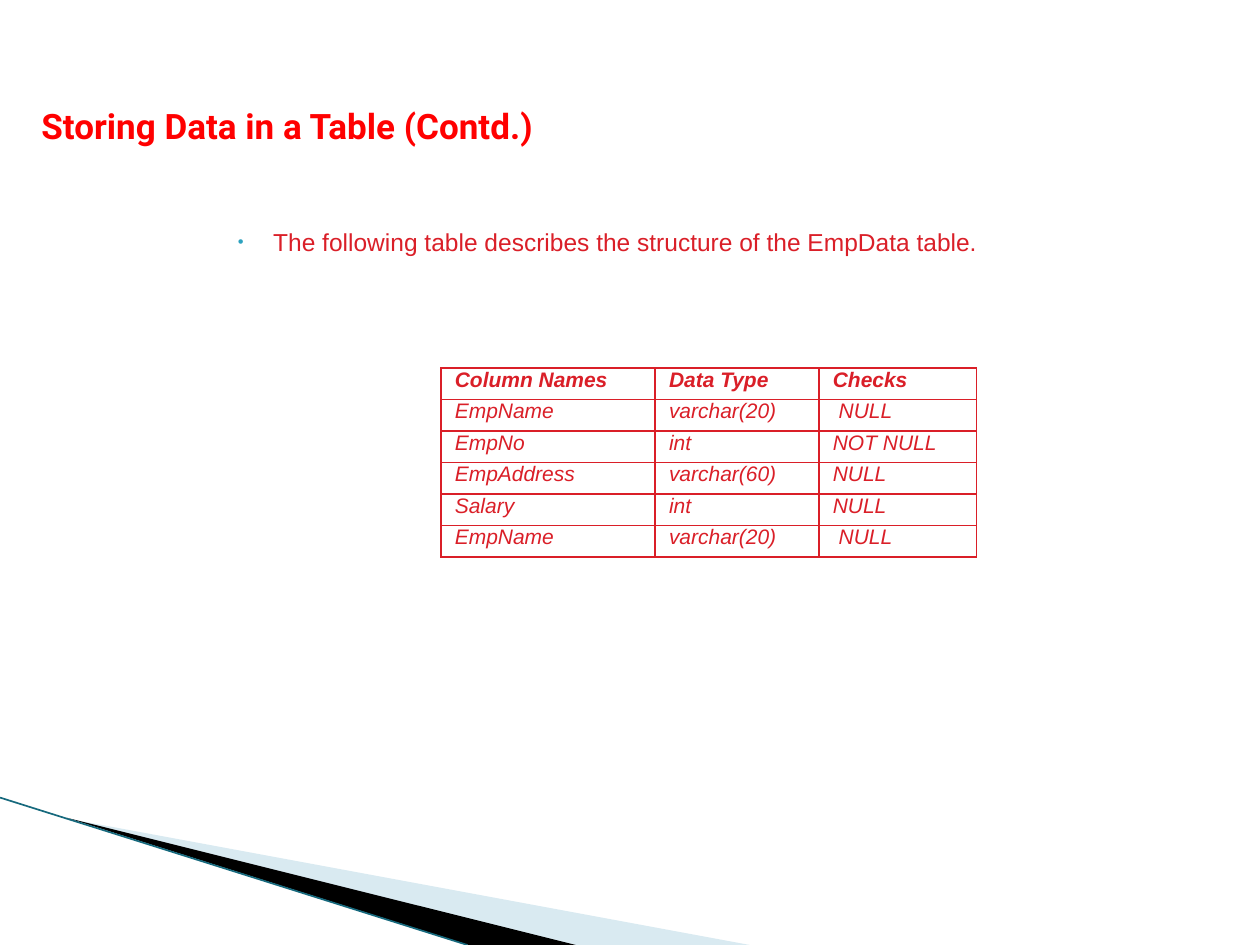
"""Build the slide that describes the structure of the EmpData table."""
import pptx
import pptx.dml.color
import pptx.enum.shapes
import pptx.enum.text
import pptx.oxml
import pptx.oxml.ns
import pptx.util

TITLE = "Storing Data in a Table (Contd.)"
INTRO = "The following table describes the structure of the EmpData table."
STRUCTURE = [
    ("Column Names", "Data Type", "Checks"),
    ("EmpName", "varchar(20)", " NULL"),
    ("EmpNo", "int", "NOT NULL"),
    ("EmpAddress", "varchar(60)", "NULL"),
    ("Salary", "int", "NULL"),
    ("EmpName", "varchar(20)", " NULL"),
]
COLORS = {"title": "FF0000", "body": "DA1F28", "bullet": "2DA2BF", "paper": "FFFFFF",
          "pale": "D9EAF1", "dark": "000000", "edge": "16697D"}
WEDGES = [
    ("pale", [(0.55, 6.5), (5.95, 7.5), (4.56, 7.5)]),
    ("dark", [(0.53, 6.49), (4.57, 7.5), (3.72, 7.5)]),
]
EDGE = [(0, 6.33), (3.71, 7.5)]
SLIDE = (10, 7.5)
TITLE_BOX = (0.23, 0.78, 9.58, 0.43)
INTRO_BOX = (1.67, 1.75, 8, 0.75)
TABLE_CORNER = (3.5, 2.92)
COLUMN_WIDTHS = (1.7, 1.3, 1.25)
ROW_HEIGHT = 0.25


def inches(values):
    return [pptx.util.Inches(value) for value in values]


def rgb(role):
    return pptx.dml.color.RGBColor.from_string(COLORS[role])


def append_xml(parent, tag, inner="", attributes=""):
    namespace = pptx.oxml.ns.nsdecls("a")
    parent.append(pptx.oxml.parse_xml(f"<a:{tag} {namespace} {attributes}>{inner}</a:{tag}>"))


def style(paragraph, font_name, size, role, bold=False, italic=False):
    font = paragraph.font
    font.name, font.size = font_name, pptx.util.Pt(size)
    font.bold, font.italic = bold, italic
    font.color.rgb = rgb(role)


def indent(paragraph, left, first=0):
    properties = paragraph._p.get_or_add_pPr()
    properties.set("marL", str(pptx.util.Inches(left)))
    properties.set("indent", str(pptx.util.Inches(first)))
    return properties


def add_swoosh(slide):
    for role, corners in WEDGES:
        start, *others = [inches(corner) for corner in corners]
        builder = slide.shapes.build_freeform(*start)
        builder.add_line_segments(others)
        wedge = builder.convert_to_shape()
        wedge.shadow.inherit = False
        wedge.fill.solid()
        wedge.fill.fore_color.rgb = rgb(role)
        wedge.line.fill.background()
    edge = slide.shapes.add_connector(
        pptx.enum.shapes.MSO_CONNECTOR.STRAIGHT, *inches(EDGE[0] + EDGE[1]))
    edge.line.color.rgb = rgb("edge")
    edge.line.width = pptx.util.Pt(0.95)
    append_xml(edge._element.spPr, "effectLst")


def add_text(slide, box, text):
    holder = slide.shapes.add_textbox(*inches(box))
    holder.text_frame.word_wrap = True
    paragraph = holder.text_frame.paragraphs[0]
    paragraph.text = text
    return holder, paragraph


def add_intro(slide):
    intro, paragraph = add_text(slide, INTRO_BOX, INTRO)
    intro.fill.solid()
    intro.fill.fore_color.rgb = rgb("paper")
    paragraph.space_before = pptx.util.Pt(4)
    properties = indent(paragraph, 0.4, -0.28)
    append_xml(properties, "buClr", f'<a:srgbClr val="{COLORS["bullet"]}"/>')
    append_xml(properties, "buSzPct", attributes='val="68000"')
    append_xml(properties, "buFont", attributes='typeface="Arial"')
    append_xml(properties, "buChar", attributes='char="•"')
    style(paragraph, "Arial", 14, "body")


def add_structure(slide):
    size = (sum(COLUMN_WIDTHS), ROW_HEIGHT * len(STRUCTURE))
    table = slide.shapes.add_table(
        len(STRUCTURE), len(COLUMN_WIDTHS), *inches(TABLE_CORNER + size)).table
    table.horz_banding = False
    for column, width in zip(table.columns, COLUMN_WIDTHS):
        column.width = pptx.util.Inches(width)
    for row_index, values in enumerate(STRUCTURE):
        for column_index, value in enumerate(values):
            fill_cell(table.cell(row_index, column_index), value, row_index == 0)


def fill_cell(cell, value, heading):
    cell.margin_left = cell.margin_right = pptx.util.Inches(0.07)
    cell.margin_top = cell.margin_bottom = 0
    paragraph = cell.text_frame.paragraphs[0]
    paragraph.text = value
    paragraph.space_before = paragraph.space_after = pptx.util.Pt(3)
    indent(paragraph, 0.04)
    style(paragraph, "Arial", 12, "body", bold=heading, italic=True)
    ink = f'<a:solidFill><a:srgbClr val="{COLORS["body"]}"/></a:solidFill>'
    for side in ("lnL", "lnR", "lnT", "lnB"):
        append_xml(cell._tc.get_or_add_tcPr(), side, ink, f'w="{pptx.util.Pt(1)}"')
    cell.fill.background()


def main():
    deck = pptx.Presentation()
    deck.slide_width, deck.slide_height = inches(SLIDE)
    slide = deck.slides.add_slide(deck.slide_layouts[6])
    add_swoosh(slide)
    add_intro(slide)
    title, heading = add_text(slide, TITLE_BOX, TITLE)
    title.text_frame.auto_size = pptx.enum.text.MSO_AUTO_SIZE.SHAPE_TO_FIT_TEXT
    style(heading, "Roboto", 20, "title", bold=True)
    add_structure(slide)
    deck.save("out.pptx")


if __name__ == "__main__":
    main()
